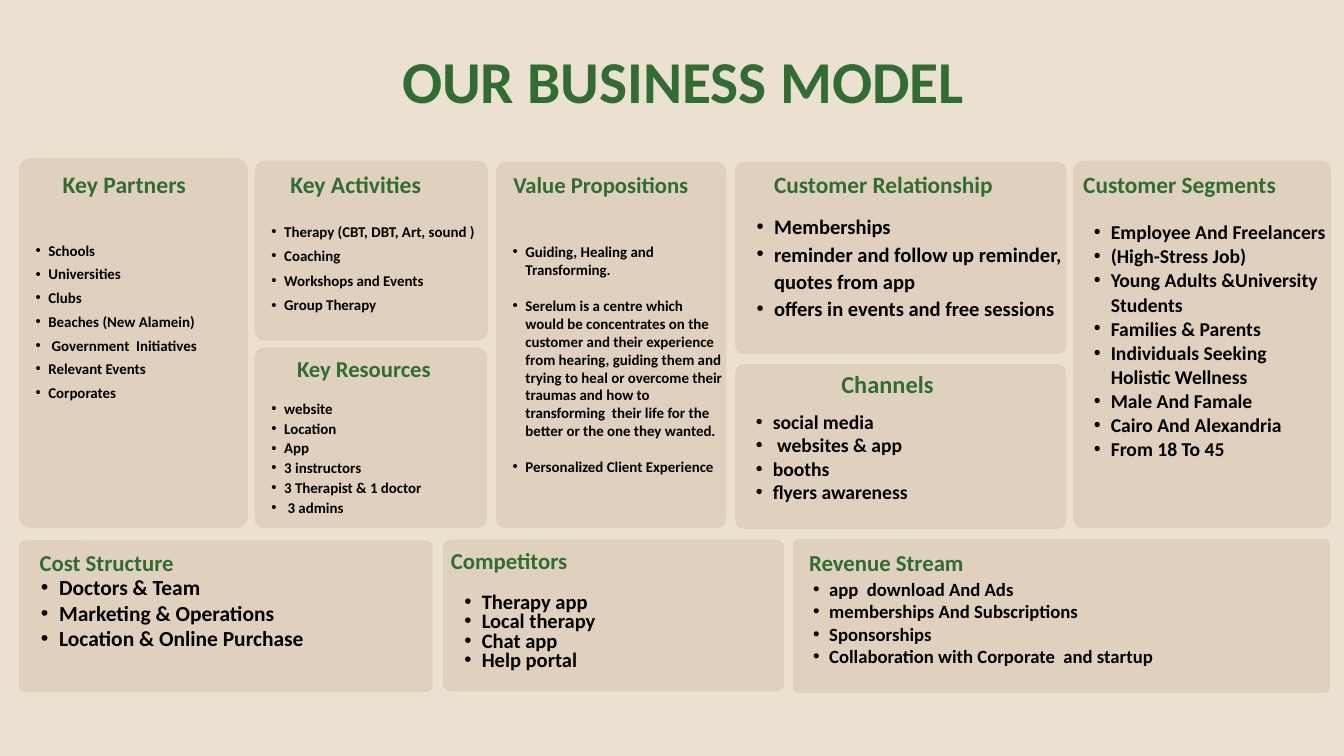
from lxml import etree
from pptx import Presentation
from pptx.dml.color import RGBColor
from pptx.enum.shapes import MSO_SHAPE
from pptx.enum.text import MSO_ANCHOR, MSO_AUTO_SIZE, PP_ALIGN
from pptx.oxml.ns import qn
from pptx.util import Inches, Pt

ROUNDED = MSO_SHAPE.ROUNDED_RECTANGLE
TOP, MIDDLE = MSO_ANCHOR.TOP, MSO_ANCHOR.MIDDLE
NO_AUTOFIT = MSO_AUTO_SIZE.NONE
LEFT, CENTER = PP_ALIGN.LEFT, PP_ALIGN.CENTER
FONT = "Calibri"
COLORS = {"background": "ECE0D0", "card": "E0D1BE", "heading": "306D33", "body": "000000"}


def prepare_frame(shape, anchor, inset):
    frame = shape.text_frame
    frame.word_wrap = True
    frame.auto_size = NO_AUTOFIT
    frame.vertical_anchor = anchor
    frame.margin_left = frame.margin_right = Inches(inset)
    frame.margin_top = frame.margin_bottom = Inches(inset)
    return frame


def write_line(paragraph, text, size, spacing, color, alignment=LEFT):
    paragraph.alignment = alignment
    paragraph.line_spacing = Pt(spacing)
    paragraph.space_before = Pt(0)
    run = paragraph.add_run()
    run.text = text
    run.font.name = FONT
    run.font.size = Pt(size)
    run.font.bold = True
    run.font.color.rgb = RGBColor.from_string(COLORS[color])


sections = [
    {"card": (0.28, 2.35, 3.41, 5.51, 0.19),
     "heading": ("Key Partners", 0.73, 2.53, 2.24, 25.3, CENTER),
     "items": (1.96, 7.52, 16, 25.4, 0.19, 0, [
         "Schools", "Universities", "Clubs", "Beaches (New Alamein)",
         " Government  Initiatives", "Relevant Events", "Corporates"])},
    {"card": (3.79, 2.39, 3.47, 2.68, 0.15),
     "heading": ("Key Activities", 4.32, 2.53, 2.97, 25.3, LEFT),
     "items": (2.81, 5.07, 16, 26.4, 0.19, 0, [
         "Therapy (CBT, DBT, Art, sound )", "Coaching",
         "Workshops and Events", "Group Therapy"])},
    {"card": (3.79, 5.17, 3.46, 2.69, 0.15),
     "heading": ("Key Resources", 4.42, 5.28, 2.76, 24.3, LEFT),
     "items": (5.74, 7.86, 16, 21.1, 0.19, 0, [
         "website", "Location", "App", "3 instructors",
         "3 Therapist & 1 doctor", " 3 admins"])},
    {"card": (7.38, 2.41, 3.43, 5.45, 0.15),
     "heading": ("Value Propositions", 7.64, 2.54, 3.06, 24.3, LEFT),
     "items": (2.83, 7.86, 16, 19.2, 0.19, 19.2, [
         "Guiding, Healing and Transforming.",
         "Serelum is a centre which would be concentrates on the customer and "
         "their experience from hearing, guiding them and trying to heal or "
         "overcome their traumas and how to transforming  their life for the "
         "better or the one they wanted.",
         "Personalized Client Experience"])},
    {"card": (10.94, 2.41, 4.93, 2.86, 0.13),
     "heading": ("Customer Relationship", 11.52, 2.53, 3.96, 25, LEFT),
     "items": (2.65, 5.27, 22, 29.2, 0.26, 0, [
         "Memberships", "reminder and follow up reminder, quotes from app",
         "offers in events and free sessions"])},
    {"card": (10.94, 5.42, 4.93, 2.45, 0.13),
     "heading": ("Channels", 12.52, 5.5, 2.37, 26.1, LEFT),
     "items": (5.73, 7.86, 21, 25.2, 0.25, 0, [
         "social media", " websites & app", "booths", "flyers awareness"])},
    {"card": (15.97, 2.39, 3.84, 5.47, 0.16),
     "heading": ("Customer Segments", 16.12, 2.53, 3.8, 25, LEFT),
     "items": (2.26, 7.86, 21, 25.8, 0.25, 0, [
         "Employee And Freelancers", "(High-Stress Job)",
         "Young Adults &University Students", "Families & Parents",
         "Individuals Seeking Holistic Wellness", "Male And Famale",
         "Cairo And Alexandria", "From 18 To 45"])},
    {"card": (0.28, 8.04, 6.16, 2.26, 0.1),
     "heading": ("Cost Structure", 0.59, 8.16, 3.88, 24.4, LEFT),
     "items": (7.92, 10.31, 23, 27.6, 0.27, 0, [
         "Doctors & Team", "Marketing & Operations", "Location & Online Purchase"])},
    {"card": (6.59, 8.03, 5.08, 2.26, 0.12),
     "heading": ("Competitors", 6.71, 8.14, 4.23, 24.4, LEFT),
     "items": (8.54, 10.3, 22, 20.7, 0.26, 0, [
         "Therapy app", "Local therapy", "Chat app", "Help portal"])},
    {"card": (11.8, 8.02, 7.99, 2.29, 0.08),
     "heading": ("Revenue Stream", 12.04, 8.16, 4.23, 24.4, LEFT),
     "items": (8.22, 10.31, 20, 24, 0.24, 0, [
         "app  download And Ads", "memberships And Subscriptions",
         "Sponsorships", "Collaboration with Corporate  and startup"])},
]

presentation = Presentation()
presentation.slide_width = Inches(20)
presentation.slide_height = Inches(11.25)
slide = presentation.slides.add_slide(presentation.slide_layouts[5])
slide.background.fill.solid()
slide.background.fill.fore_color.rgb = RGBColor.from_string(COLORS["background"])

title = slide.shapes.title
title.left, title.top = Inches(4.15), Inches(0.83)
title.width, title.height = Inches(12.03), Inches(0.99)
frame = prepare_frame(title, TOP, 0)
write_line(frame.paragraphs[0], "OUR BUSINESS MODEL", 63.6, 63.6, "heading", CENTER)

for section in sections:
    left, top, width, height, radius = section["card"]
    card = slide.shapes.add_shape(ROUNDED, Inches(left), Inches(top), Inches(width), Inches(height))
    card.adjustments[0] = radius / min(width, height)
    card.shadow.inherit = False
    card.fill.solid()
    card.fill.fore_color.rgb = RGBColor.from_string(COLORS["card"])
    card.line.fill.background()

    items_top, items_bottom, size, spacing, indent, gap, lines = section["items"]
    items_box = slide.shapes.add_textbox(
        Inches(left), Inches(items_top), Inches(width), Inches(items_bottom - items_top))
    frame = prepare_frame(items_box, MIDDLE, 0.06)
    for index, line in enumerate(lines):
        paragraph = frame.add_paragraph() if index else frame.paragraphs[0]
        properties = paragraph._p.get_or_add_pPr()
        properties.set("marL", str(Inches(2 * indent)))
        properties.set("indent", str(Inches(-indent)))
        etree.SubElement(properties, qn("a:buFont")).set("typeface", "Arial")
        etree.SubElement(properties, qn("a:buChar")).set("char", "•")
        write_line(paragraph, line, size, spacing, "body")
        if index:
            paragraph.space_before = Pt(gap)

    text, heading_left, heading_top, heading_width, size, alignment = section["heading"]
    heading = slide.shapes.add_textbox(
        Inches(heading_left), Inches(heading_top), Inches(heading_width), Inches(0.44))
    frame = prepare_frame(heading, TOP, 0)
    write_line(frame.paragraphs[0], text, size, round(size * 1.2, 1), "heading", alignment)

presentation.save("out.pptx")
